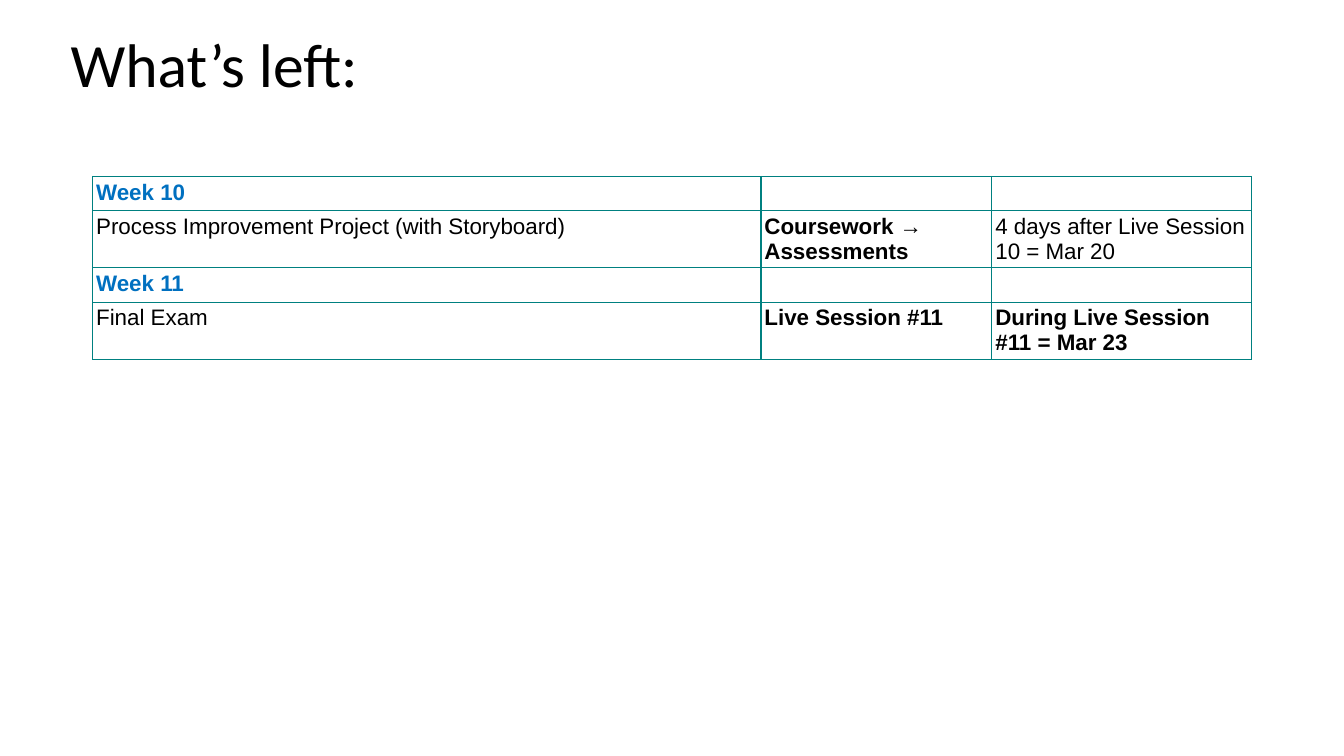
from dataclasses import dataclass

from lxml.etree import SubElement
from pptx import Presentation
from pptx.dml.color import RGBColor
from pptx.enum.text import MSO_ANCHOR, MSO_AUTO_SIZE, PP_ALIGN
from pptx.oxml.ns import qn
from pptx.util import Pt


@dataclass(frozen=True)
class Theme:
    text: str = "000000"
    week: str = "0070C0"
    border: str = "008080"
    paper: str = "FFFFFF"
    title_font: str = "Calibri"
    table_font: str = "Arial"
    title_size: float = 44
    table_size: float = 16
    border_width: float = 1
    cell_margin: float = 2.5


class SlideBuilder:
    def __init__(self, s, theme):
        self.s = s
        self.theme = theme

    def apply(self, target, **values):
        for name, value in values.items():
            setattr(target, name, value)

    def font(self, font, color, **values):
        self.apply(font, **values)
        font.color.rgb = RGBColor.from_string(color)

    def title(self, text, left, top, width, height):
        sp = self.s.shapes.title
        self.apply(sp, left=Pt(left), top=Pt(top), width=Pt(width), height=Pt(height))
        tf = sp.text_frame
        self.apply(tf, text=text, word_wrap=True, auto_size=MSO_AUTO_SIZE.NONE,
                   vertical_anchor=MSO_ANCHOR.MIDDLE)
        p = tf.paragraphs[0]
        self.apply(p, alignment=PP_ALIGN.LEFT, line_spacing=0.9)
        self.font(p.runs[0].font, self.theme.text, name=self.theme.title_font,
                  size=Pt(self.theme.title_size), bold=False)

    def borders(self, cell):
        """Draw all four sides of a cell; the lines must come before its fill."""
        tc_pr = cell._tc.get_or_add_tcPr()
        for side in ("a:lnL", "a:lnR", "a:lnT", "a:lnB"):
            ln = SubElement(tc_pr, qn(side), w=str(Pt(self.theme.border_width)))
            fill = SubElement(ln, qn("a:solidFill"))
            SubElement(fill, qn("a:srgbClr"), val=self.theme.border)

    def cell(self, cell, text, color, bold):
        margin = Pt(self.theme.cell_margin)
        self.apply(cell, margin_left=margin, margin_right=margin,
                   margin_top=margin, margin_bottom=margin,
                   vertical_anchor=MSO_ANCHOR.TOP)
        self.borders(cell)
        cell.fill.solid()
        cell.fill.fore_color.rgb = RGBColor.from_string(self.theme.paper)
        p = cell.text_frame.paragraphs[0]
        if text:
            r = p.add_run()
            r.text = text
            self.font(r.font, color, name=self.theme.table_font,
                      size=Pt(self.theme.table_size), bold=bold)
        else:
            # An empty cell takes its line height from the paragraph end mark.
            SubElement(p._p, qn("a:endParaRPr"), sz=str(int(self.theme.table_size * 100)))

    def table(self, rows, left, top, col_widths, row_heights):
        """Build a table from rows of (text, color, bold) cells."""
        frame = self.s.shapes.add_table(len(rows), len(col_widths), Pt(left), Pt(top),
                                        Pt(sum(col_widths)), Pt(sum(row_heights)))
        table = frame.table
        self.apply(table, first_row=False, horz_banding=False)
        for column, width in zip(table.columns, col_widths):
            column.width = Pt(width)
        for row, height, contents in zip(table.rows, row_heights, rows):
            row.height = Pt(height)
            for cell, content in zip(row.cells, contents):
                self.cell(cell, *content)


def main():
    prs = Presentation()
    prs.slide_width, prs.slide_height = Pt(960), Pt(540)
    theme = Theme()
    slide = SlideBuilder(prs.slides.add_slide(prs.slide_layouts[5]), theme)
    slide.title("What’s left:", 43.2, -3.6, 828, 104.4)

    def week(name):
        return [(name, theme.week, True)] + [("", theme.text, False)] * 2

    def task(name, place, due, due_bold):
        return [(name, theme.text, False), (place, theme.text, True),
                (due, theme.text, due_bold)]

    rows = [
        week("Week 10"),
        task("Process Improvement Project (with Storyboard)", "Coursework → Assessments",
             "4 days after Live Session 10 = Mar 20", False),
        week("Week 11"),
        task("Final Exam", "Live Session #11", "During Live Session #11 = Mar 23", True),
    ]
    slide.table(rows, 66.2, 126, [477.4, 164.9, 185.7], [22.9, 40.7] * 2)
    prs.save("out.pptx")


if __name__ == "__main__":
    main()
